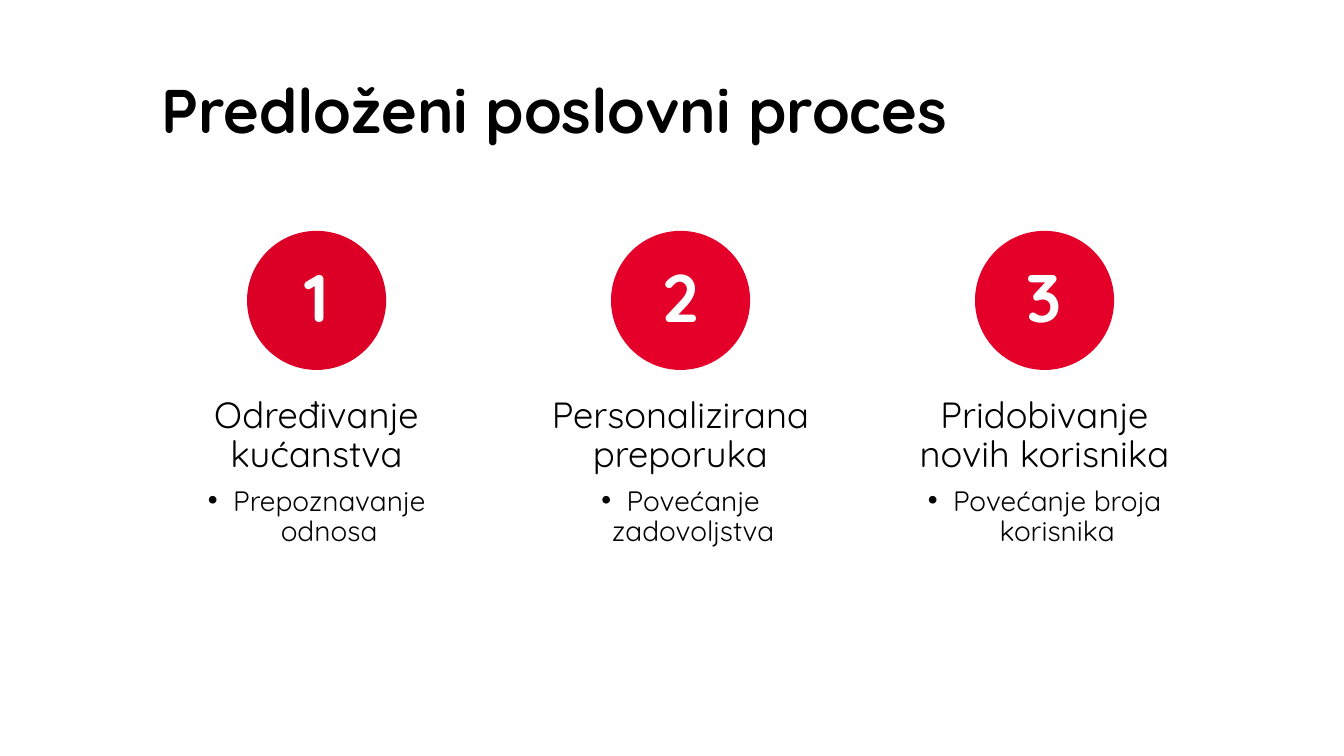
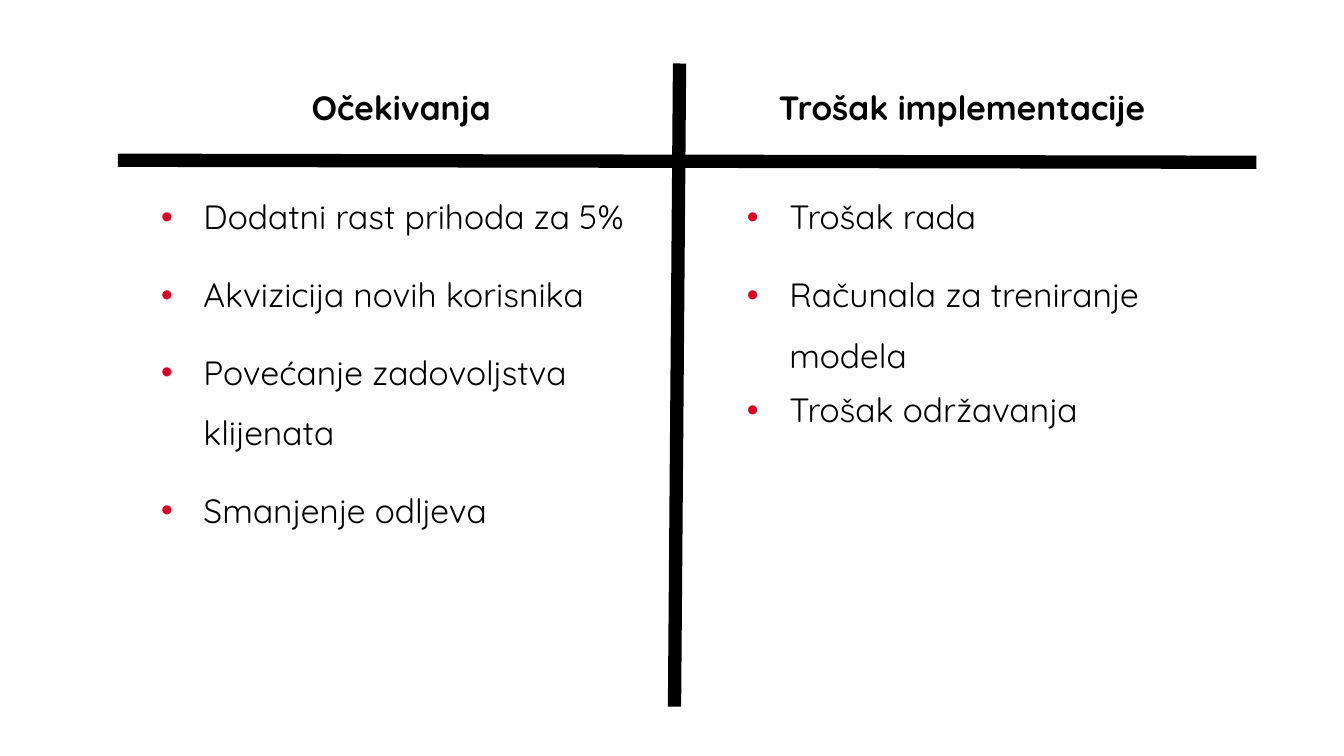
from lxml.etree import SubElement
from pptx import Presentation
from pptx.dml.color import RGBColor
from pptx.enum.shapes import MSO_CONNECTOR, MSO_SHAPE
from pptx.enum.text import MSO_ANCHOR, PP_ALIGN
from pptx.oxml.ns import qn
from pptx.util import Pt

PX = 9144
FONT = "Quicksand"
BLACK, WHITE, RED, BRIGHT_RED = "000000", "FFFFFF", "DC0027", "E40028"


def color(hex_string):
    return RGBColor.from_string(hex_string)


def write(frame, items, inset_x=10, inset_y=5):
    frame.word_wrap = True
    frame.margin_left = frame.margin_right = inset_x * PX
    frame.margin_top = frame.margin_bottom = inset_y * PX
    for index, item in enumerate(items):
        paragraph = frame.paragraphs[0] if index == 0 else frame.add_paragraph()
        paragraph.alignment = item.get("align", PP_ALIGN.CENTER)
        paragraph.line_spacing = item.get("spacing", 0.9)
        paragraph.space_before = Pt(item.get("before", 0))
        paragraph.space_after = Pt(item.get("after", 0))
        if "bullet" in item:
            properties = paragraph._p.get_or_add_pPr()
            properties.set("marL", str(item["indent"] * PX))
            properties.set("indent", str(-item["indent"] * PX))
            bullet_color = SubElement(properties, qn("a:buClr"))
            SubElement(bullet_color, qn("a:srgbClr"), val=item["bullet"])
            SubElement(properties, qn("a:buFont"), typeface="Arial")
            SubElement(properties, qn("a:buChar"), char="•")
        run = paragraph.add_run()
        run.text = item["text"]
        run.font.name = FONT
        run.font.size = Pt(item["size"])
        run.font.bold = item.get("bold", False)
        run.font.color.rgb = color(item.get("color", BLACK))


presentation = Presentation()
presentation.slide_width = 1333 * PX
presentation.slide_height = 750 * PX
blank = presentation.slide_layouts[6]

slide = presentation.slides.add_slide(blank)
title = slide.shapes.add_textbox(150 * PX, 75 * PX, 1050 * PX, 162 * PX)
write(title.text_frame, [{"text": "Predloženi poslovni proces", "size": 44, "bold": True,
                          "align": PP_ALIGN.LEFT, "spacing": 0.89}])

steps = [
    ("Određivanje kućanstva", "Prepoznavanje odnosa", RED),
    ("Personalizirana preporuka", "Povećanje zadovoljstva", BRIGHT_RED),
    ("Pridobivanje novih korisnika", "Povećanje broja korisnika", BRIGHT_RED),
]
for index, (heading, detail, fill) in enumerate(steps):
    left = 150 + index * 361
    description = slide.shapes.add_textbox(left * PX, 358 * PX, 328 * PX, 275 * PX)
    write(description.text_frame, [
        {"text": heading, "size": 26, "after": 8},
        {"text": detail, "size": 20, "bullet": BLACK, "indent": 25},
    ], 26, 36)
    circle = slide.shapes.add_shape(
        MSO_SHAPE.OVAL, (left + 95) * PX, 229 * PX, 138 * PX, 138 * PX)
    circle.shadow.inherit = False
    circle.fill.solid()
    circle.fill.fore_color.rgb = color(fill)
    circle.line.fill.background()
    circle.text_frame.vertical_anchor = MSO_ANCHOR.MIDDLE
    write(circle.text_frame, [{"text": str(index + 1), "size": 48, "bold": True, "color": WHITE}], 0, 0)

slide = presentation.slides.add_slide(blank)
columns = [
    (175, 150, "Očekivanja", [
        ("Dodatni rast prihoda za 5%", 0.94),
        ("Akvizicija novih korisnika", 1.5),
        ("Povećanje zadovoljstva klijenata", 1.5),
        ("Smanjenje odljeva", 1.5),
    ]),
    (731, 731, "Trošak implementacije", [
        ("Trošak rada", 0.94),
        ("Računala za treniranje modela", 1.5),
        ("Trošak održavanja", 0.94),
    ]),
]
for heading_left, list_left, heading, points in columns:
    header = slide.shapes.add_textbox(heading_left * PX, 85 * PX, 446 * PX, 58 * PX)
    write(header.text_frame, [{"text": heading, "size": 24, "bold": True,
                               "spacing": 0.94, "before": 10, "after": 2}])
    body = slide.shapes.add_textbox(list_left * PX, 193 * PX, 496 * PX, 449 * PX)
    write(body.text_frame, [
        {"text": text, "size": 24, "align": PP_ALIGN.LEFT, "spacing": spacing,
         "before": 10, "after": 2, "bullet": RED, "indent": 42}
        for text, spacing in points
    ])

for ends in [(117, 159, 1246, 161), (669, 701, 674, 63)]:
    divider = slide.shapes.add_connector(MSO_CONNECTOR.STRAIGHT, *[end * PX for end in ends])
    divider.line.color.rgb = color(BLACK)
    divider.line.width = Pt(9.5)
    SubElement(divider._element.spPr, qn("a:effectLst"))

presentation.save("out.pptx")
